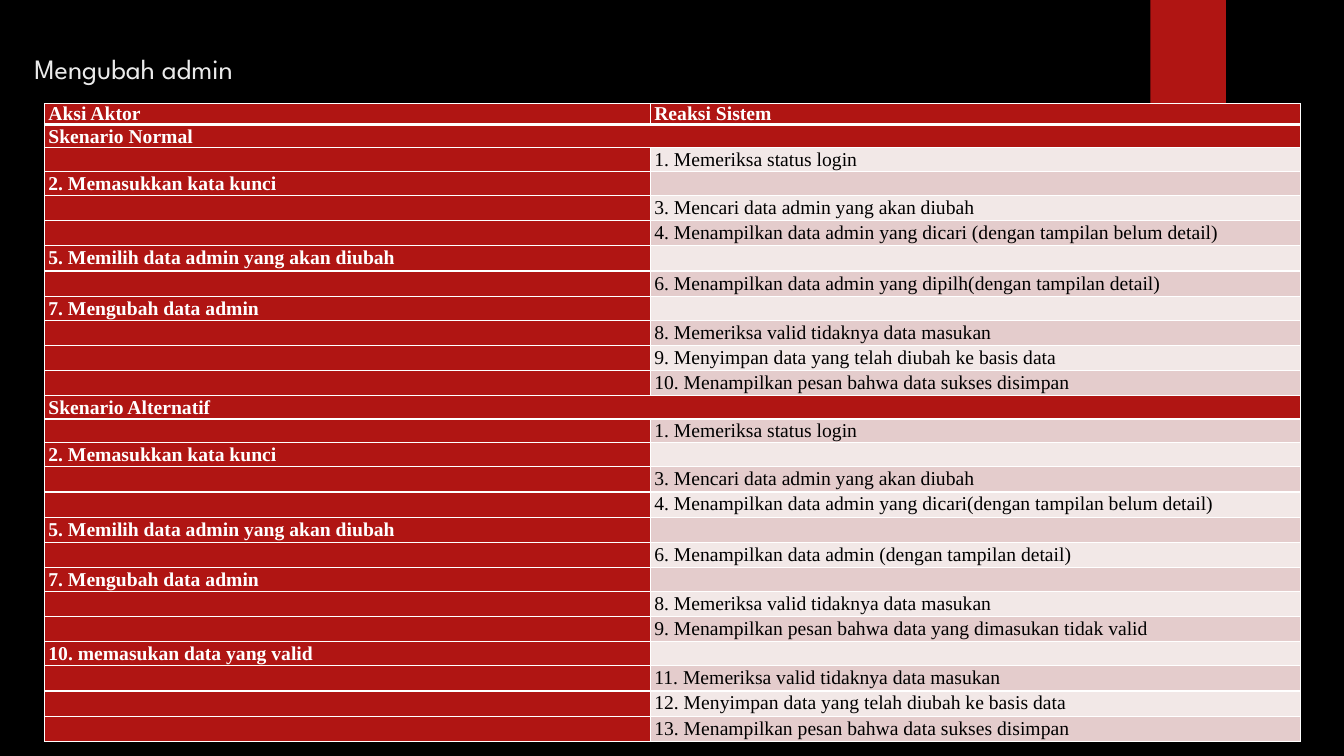
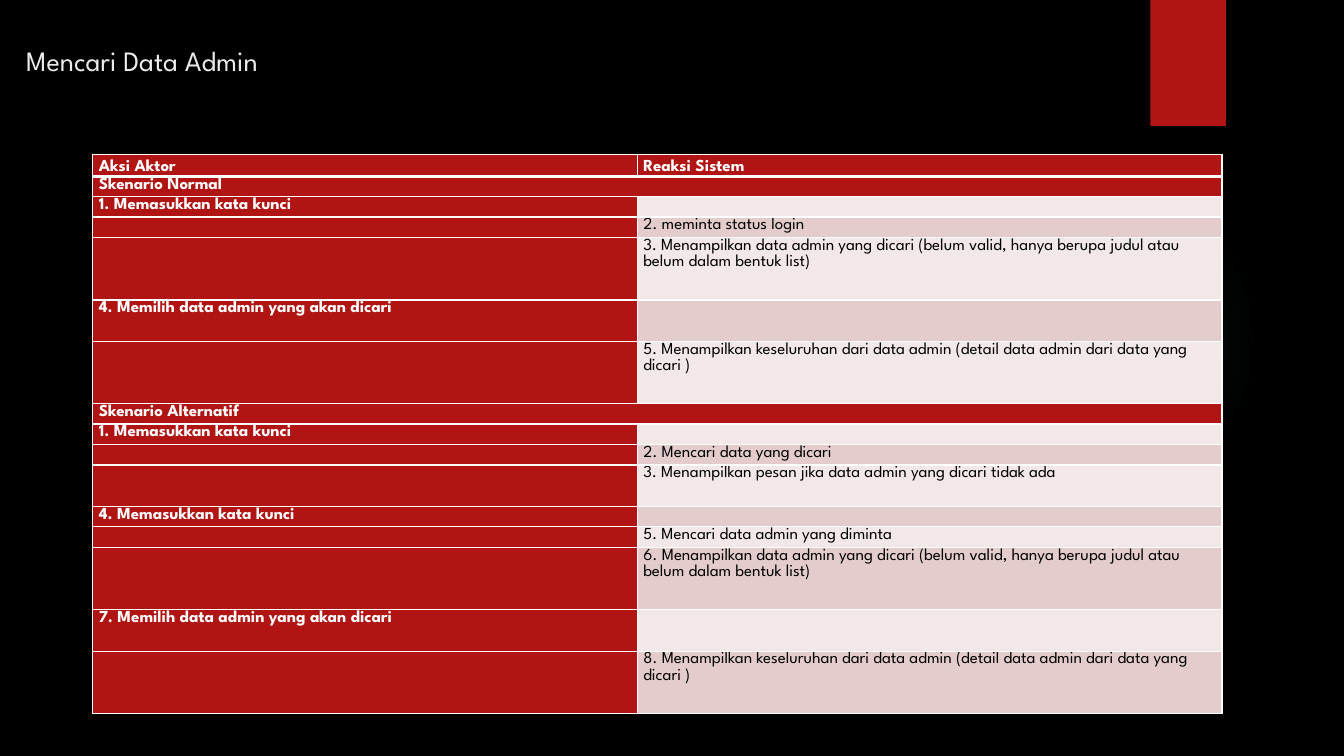
from pptx import Presentation
from pptx.dml.color import RGBColor
from pptx.enum.shapes import MSO_SHAPE
from pptx.enum.text import MSO_ANCHOR, MSO_AUTO_SIZE, PP_ALIGN
from pptx.oxml import parse_xml
from pptx.oxml.ns import nsdecls, qn
from pptx.util import Inches, Pt

RECTANGLE, OVAL = MSO_SHAPE.RECTANGLE, MSO_SHAPE.OVAL
TOP, LEFT, NO_FIT = MSO_ANCHOR.TOP, PP_ALIGN.LEFT, MSO_AUTO_SIZE.NONE

BLACK = RGBColor(0x00, 0x00, 0x00)
WHITE = RGBColor(0xFF, 0xFF, 0xFF)
RED = RGBColor(0xB0, 0x15, 0x13)
TITLE_GREY = RGBColor(0xEB, 0xEB, 0xEB)
GLOW = RGBColor(0x50, 0xB9, 0xC1)
BANDS = (RGBColor(0xF2, 0xE8, 0xE7), RGBColor(0xE4, 0xCC, 0xCC))

SANS, SERIF = "League Spartan", "Times New Roman"
HEADER_SPACING, BODY_SPACING = Pt(14.7), 1.07

# Each row: actor action, system reaction (None spans both columns), height
EDIT_ROWS = [
    ("Aksi Aktor", "Reaksi Sistem", 0.2),
    ("Skenario Normal", None, 0.23),
    ("", "1. Memeriksa status login", 0.23),
    ("2. Memasukkan kata kunci", "", 0.23),
    ("", "3. Mencari data admin yang akan diubah", 0.25),
    ("", "4. Menampilkan data admin yang dicari (dengan tampilan belum detail)", 0.25),
    ("5. Memilih data admin yang akan diubah", "", 0.25),
    ("", "6. Menampilkan data admin yang dipilh(dengan tampilan detail)", 0.25),
    ("7. Mengubah data admin", "", 0.23),
    ("", "8. Memeriksa valid tidaknya data masukan", 0.25),
    ("", "9. Menyimpan data yang telah diubah ke basis data", 0.25),
    ("", "10. Menampilkan pesan bahwa data sukses disimpan", 0.25),
    ("Skenario Alternatif", None, 0.23),
    ("", "1. Memeriksa status login", 0.23),
    ("2. Memasukkan kata kunci", "", 0.23),
    ("", "3. Mencari data admin yang akan diubah", 0.25),
    ("", "4. Menampilkan data admin yang dicari(dengan tampilan belum detail)", 0.25),
    ("5. Memilih data admin yang akan diubah", "", 0.25),
    ("", "6. Menampilkan data admin (dengan tampilan detail)", 0.25),
    ("7. Mengubah data admin", "", 0.23),
    ("", "8. Memeriksa valid tidaknya data masukan", 0.25),
    ("", "9. Menampilkan pesan bahwa data yang dimasukan tidak valid", 0.25),
    ("10. memasukan data yang valid", "", 0.23),
    ("", "11. Memeriksa valid tidaknya data masukan", 0.25),
    ("", "12. Menyimpan data yang telah diubah ke basis data", 0.25),
    ("", "13. Menampilkan pesan bahwa data sukses disimpan", 0.25),
]

SHOW_LIST = ("Menampilkan data admin yang dicari (belum valid, "
             "hanya berupa judul atau belum dalam bentuk list)")
SHOW_DETAIL = ("Menampilkan keseluruhan dari data admin "
               "(detail data admin dari data yang dicari )")
SEARCH_ROWS = [
    ("Aksi Aktor", "Reaksi Sistem", 0.22),
    ("Skenario Normal", None, 0.2),
    ("1. Memasukkan kata kunci", "", 0.2),
    ("", "2. meminta status login", 0.2),
    ("", f"3. {SHOW_LIST}", 0.62),
    ("4. Memilih data admin yang akan dicari", "", 0.41),
    ("", f"5. {SHOW_DETAIL}", 0.62),
    ("Skenario Alternatif", None, 0.2),
    ("1. Memasukkan kata kunci", "", 0.2),
    ("", "2. Mencari data yang dicari", 0.2),
    ("", "3. Menampilkan pesan jika data admin yang dicari tidak ada", 0.41),
    ("4. Memasukkan kata kunci", "", 0.2),
    ("", "5. Mencari data admin yang diminta", 0.2),
    ("", f"6. {SHOW_LIST}", 0.62),
    ("7. Memilih data admin yang akan dicari", "", 0.41),
    ("", f"8. {SHOW_DETAIL}", 0.62),
]


def write_text(frame, text, *, font, size, color, bold=False, spacing=None):
    paragraph = frame.paragraphs[0]
    paragraph.alignment = LEFT
    paragraph.line_spacing = spacing
    if not text:
        # An empty cell still needs a small text size to keep its row low
        paragraph._p.get_or_add_endParaRPr().set("sz", str(size * 100))
        return
    span = paragraph.add_run()
    span.text = text
    span.font.name = font
    span.font.size = Pt(size)
    span.font.bold = bold
    span.font.color.rgb = color


def add_plain_shape(page, kind, left, top, width, height, color):
    shape = page.shapes.add_shape(
        kind, Inches(left), Inches(top), Inches(width), Inches(height))
    shape.shadow.inherit = False
    shape.fill.solid()
    shape.fill.fore_color.rgb = color
    shape.line.fill.background()
    return shape


def fade_from_center(shape, color, stops):
    """Replace the solid fill by a circular fade of (position, opacity) percents."""
    marks = "".join(
        f'<a:gs pos="{position * 1000}"><a:srgbClr val="{color}">'
        f'<a:alpha val="{opacity * 1000}"/></a:srgbClr></a:gs>'
        for position, opacity in stops)
    gradient = parse_xml(
        f'<a:gradFill {nsdecls("a")}><a:gsLst>{marks}</a:gsLst><a:path path="circle">'
        '<a:fillToRect l="50000" t="50000" r="50000" b="50000"/></a:path></a:gradFill>')
    properties = shape.element.spPr
    properties.replace(properties.find(qn("a:solidFill")), gradient)


def decorate_layout(layout, page):
    """Set the background and move the shared shapes from a page to its layout."""
    layout.background.fill.solid()
    layout.background.fill.fore_color.rgb = BLACK
    glow = add_plain_shape(page, OVAL, 9.41, 1.83, 3.08, 3.08, GLOW)
    fade_from_center(glow, GLOW, [(0, 7), (36, 6), (69, 0)])
    ribbon = add_plain_shape(page, RECTANGLE, 11.41, 0, 0.75, 1.25, RED)
    for shape in (glow, ribbon):
        layout.shapes.element.append(shape.element)


def set_title(page, text, left, top, width, height):
    title = page.shapes.title
    title.left, title.top = Inches(left), Inches(top)
    title.width, title.height = Inches(width), Inches(height)
    frame = title.text_frame
    frame.word_wrap = True
    frame.auto_size = NO_FIT
    frame.vertical_anchor = TOP
    write_text(frame, text, font=SANS, size=20, color=TITLE_GREY)


def set_borders(cell, top, bottom):
    properties = cell._tc.get_or_add_tcPr()
    for side, points in (("L", 1), ("R", 1), ("T", top), ("B", bottom)):
        properties.append(parse_xml(
            f'<a:ln{side} {nsdecls("a")} w="{Pt(points)}"><a:solidFill>'
            f'<a:srgbClr val="{WHITE}"/></a:solidFill></a:ln{side}>'))


def add_scenario_table(page, rows, left, top, widths, *, font, size, inset):
    height = sum(row[2] for row in rows)
    table = page.shapes.add_table(
        len(rows), len(widths), Inches(left), Inches(top),
        Inches(sum(widths)), Inches(height)).table
    table.horz_banding = False
    for column, width in zip(table.columns, widths):
        column.width = Inches(width)

    for index, (action, reaction, row_height) in enumerate(rows):
        table.rows[index].height = Inches(row_height)
        is_header = index == 0
        for column, text in enumerate((action, reaction)):
            cell = table.cell(index, column)
            is_red = is_header or column == 0 or reaction is None
            cell.margin_left = cell.margin_right = Inches(inset)
            cell.margin_top = cell.margin_bottom = 0
            cell.vertical_anchor = TOP
            set_borders(cell, top=3 if index == 1 else 1, bottom=3 if is_header else 1)
            cell.fill.solid()
            cell.fill.fore_color.rgb = RED if is_red else BANDS[index % 2]
            write_text(cell.text_frame, text, font=font, size=size,
                       color=WHITE if is_red else BLACK, bold=is_red,
                       spacing=HEADER_SPACING if is_header else BODY_SPACING)
        if reaction is None:
            table.cell(index, 0).merge(table.cell(index, 1))


def main():
    deck = Presentation()
    deck.slide_width, deck.slide_height = Inches(13.33), Inches(7.5)
    layout = deck.slide_layouts[5]

    # Editing an admin
    page = deck.slides.add_slide(layout)
    decorate_layout(layout, page)
    set_title(page, "Mengubah admin", 0.24, 0.46, 11.5, 1.45)
    add_scenario_table(page, EDIT_ROWS, 0.44, 1.03, (6.01, 6.45),
                       font=SERIF, size=14, inset=0.04)

    # Searching admin data
    page = deck.slides.add_slide(layout)
    set_title(page, "Mencari Data Admin", 0.16, 0.38, 10.51, 1.18)
    add_scenario_table(page, SEARCH_ROWS, 0.92, 1.53, (5.4, 5.8),
                       font=SANS, size=12, inset=0.06)

    deck.save("out.pptx")


if __name__ == "__main__":
    main()
